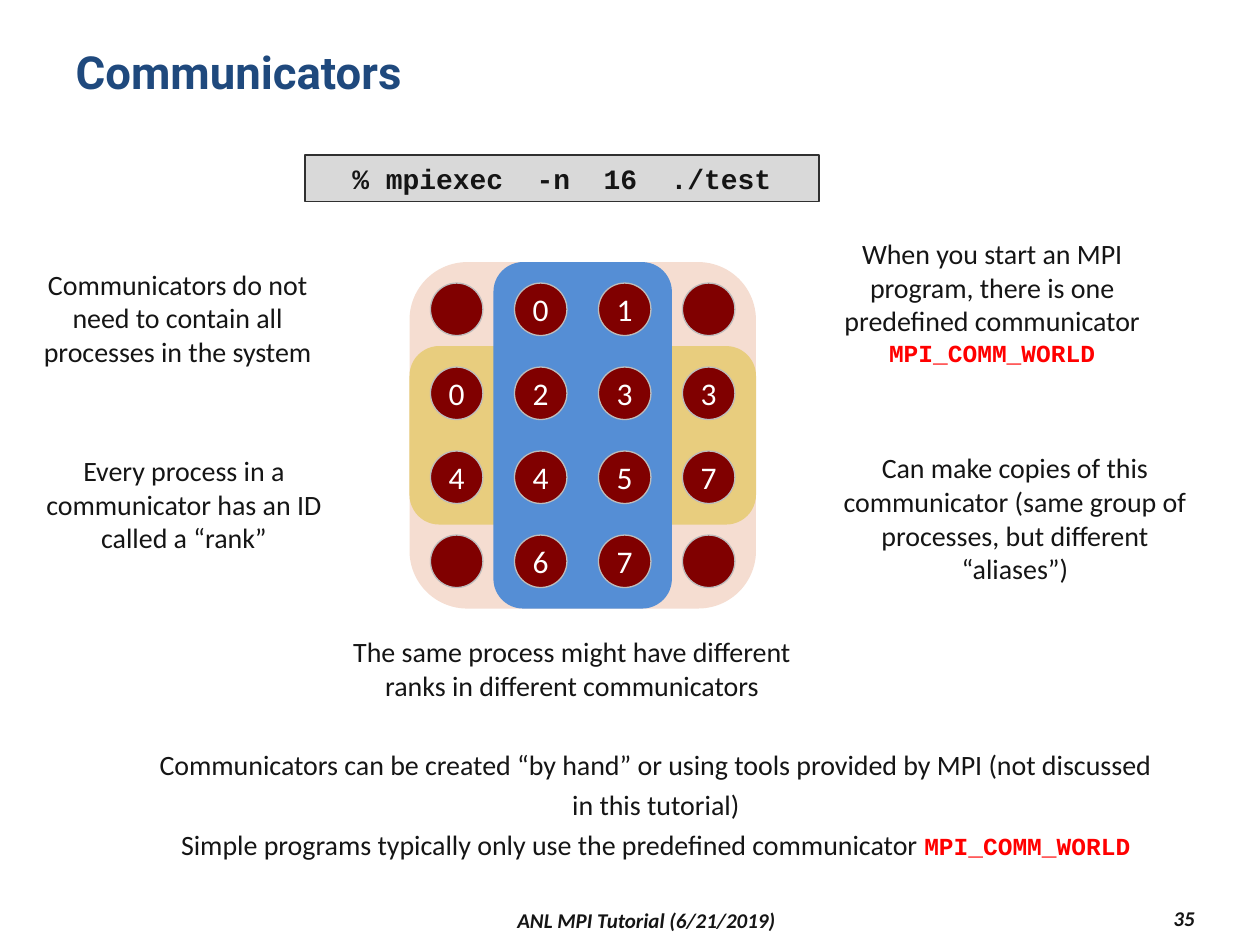
from itertools import product

from pptx import Presentation
from pptx import util as u
from pptx.dml.color import RGBColor
from pptx.enum import shapes, text

COLORS = {
    "title": "1F497D", "ink": "151515", "alias": "FF0000", "rank": "FFFFFF",
    "process": "800000", "process_edge": "BDBDBD",
    "world": "F5DDD1", "rows": "E8CD7E", "columns": "558ED5",
    "command": "D9D9D9", "command_edge": "303030",
}
WIDTH, HEIGHT = 10, 7.5
GRID_LEFT, GRID_TOP = 3.25, 2.08
PITCH = 2 / 3
GAP = PITCH / 8
CIRCLE = PITCH * 5 / 8
WORLD_NAME = "MPI_COMM_WORLD"

SIDE_NOTES = [
    ((6.5, 1.83, 2.75, 1.18),
     ["When you start an MPI program, there is one predefined communicator ", WORLD_NAME]),
    ((6.5, 3.53, 3.11, 1.18),
     ["Can make copies of this communicator (same group of processes, but different “aliases”)"]),
    ((0.12, 2.07, 2.58, 0.91),
     ["Communicators do not need to contain all processes in the system"]),
    ((0.17, 3.55, 2.58, 0.91),
     ["Every process in a communicator has an ID called a “rank”"]),
    ((2.5, 4.99, 4.08, 0.64),
     ["The same process might have different ranks in different communicators"]),
]
SUMMARY = [
    ["Communicators can be created “by hand” or using tools provided by MPI "
     "(not discussed in this tutorial)"],
    ["Simple programs typically only use the predefined communicator ", WORLD_NAME],
]


def rgb(name):
    return RGBColor.from_string(COLORS[name])


def inches(box):
    return [u.Inches(length) for length in box]


def style(run, size, color="ink", font="Calibri", bold=False, italic=False):
    run.font.size = u.Pt(size)
    run.font.name = font
    run.font.bold = bold
    run.font.italic = italic
    run.font.color.rgb = rgb(color)


def add_figure(parent, kind, box, fill, edge=None):
    figure = parent.add_shape(kind, *inches(box))
    figure.shadow.inherit = False
    figure.fill.solid()
    figure.fill.fore_color.rgb = rgb(fill)
    if edge:
        figure.line.color.rgb = rgb(edge)
        figure.line.width = u.Pt(0.75)
    else:
        figure.line.fill.background()
    return figure


def add_note(slide, box, paragraphs, spacing=None):
    frame = slide.shapes.add_textbox(*inches(box)).text_frame
    frame.word_wrap = True
    for index, parts in enumerate(paragraphs):
        paragraph = frame.add_paragraph() if index else frame.paragraphs[0]
        paragraph.alignment = text.PP_ALIGN.CENTER
        paragraph.line_spacing = spacing
        for part in parts:
            run = paragraph.add_run()
            run.text = part
            if part == WORLD_NAME:
                style(run, 14, "alias", "Courier New", bold=True)
            else:
                style(run, 16)


def add_process(parent, column, row, rank=""):
    left = GRID_LEFT + 2 * GAP + column * PITCH
    top = GRID_TOP + 2 * GAP + row * PITCH
    process = add_figure(parent, shapes.MSO_SHAPE.OVAL, (left, top, CIRCLE, CIRCLE),
                         "process", "process_edge")
    if rank:
        frame = process.text_frame
        frame.text = rank
        frame.word_wrap = False
        frame.margin_left = frame.margin_right = 0
        frame.vertical_anchor = text.MSO_ANCHOR.MIDDLE
        frame.paragraphs[0].alignment = text.PP_ALIGN.CENTER
        style(frame.paragraphs[0].runs[0], 18, "rank")


def add_communicator(slide, color, first_column, first_row, columns, rows,
                     shown_columns, shown_rows, ranked=True):
    group = slide.shapes.add_group_shape().shapes
    region = (GRID_LEFT + first_column * PITCH, GRID_TOP + first_row * PITCH,
              columns * PITCH + GAP, rows * PITCH + GAP)
    add_figure(group, shapes.MSO_SHAPE.ROUNDED_RECTANGLE, region, color)
    for row, column in product(shown_rows, shown_columns):
        rank = (row - first_row) * columns + column - first_column
        add_process(group, column, row, str(rank) if ranked else "")


def add_title(slide, heading):
    title = slide.shapes.title
    title.left, title.top, title.width, title.height = inches(
        (0.05 * WIDTH, 0.04 * HEIGHT, 0.9 * WIDTH, 0.87))
    frame = title.text_frame
    frame.text = heading
    frame.vertical_anchor = text.MSO_ANCHOR.TOP
    frame.paragraphs[0].alignment = text.PP_ALIGN.LEFT
    style(frame.paragraphs[0].runs[0], 26, "title", "Roboto", bold=True)


def add_command(slide, command):
    box = add_figure(slide.shapes, shapes.MSO_SHAPE.RECTANGLE, (2.42, 1.23, 4.08, 0.37),
                     "command", "command_edge")
    frame = box.text_frame
    frame.text = command
    frame.vertical_anchor = text.MSO_ANCHOR.TOP
    frame.paragraphs[0].alignment = text.PP_ALIGN.CENTER
    style(frame.paragraphs[0].runs[0], 16, font="Courier New", bold=True)


def add_footer(slide, box, label, alignment):
    frame = slide.shapes.add_textbox(*inches(box)).text_frame
    frame.word_wrap = True
    frame.text = label
    frame.vertical_anchor = text.MSO_ANCHOR.MIDDLE
    frame.paragraphs[0].alignment = alignment
    style(frame.paragraphs[0].runs[0], 12, bold=True, italic=True)


def main():
    deck = Presentation()
    deck.slide_width, deck.slide_height = inches((WIDTH, HEIGHT))
    slide = deck.slides.add_slide(deck.slide_layouts[5])

    add_title(slide, "Communicators")
    add_footer(slide, (2.17, 7.17, 5.92, 0.27), "ANL MPI Tutorial (6/21/2019)",
               text.PP_ALIGN.CENTER)
    add_footer(slide, (8.5, 7.15, 1.08, 0.27), "35", text.PP_ALIGN.RIGHT)

    add_communicator(slide, "world", 0, 0, 4, 4, (0, 3), (0, 3), ranked=False)
    add_communicator(slide, "rows", 0, 1, 4, 2, (0, 3), (1, 2))
    add_communicator(slide, "columns", 1, 0, 2, 4, (1, 2), range(4))

    for box, parts in SIDE_NOTES:
        add_note(slide, box, [parts])
    add_note(slide, (1.1, 5.83, 8.21, 1.07), SUMMARY, spacing=1.2)
    add_command(slide, "% mpiexec  -n  16  ./test")
    deck.save("out.pptx")


if __name__ == "__main__":
    main()
